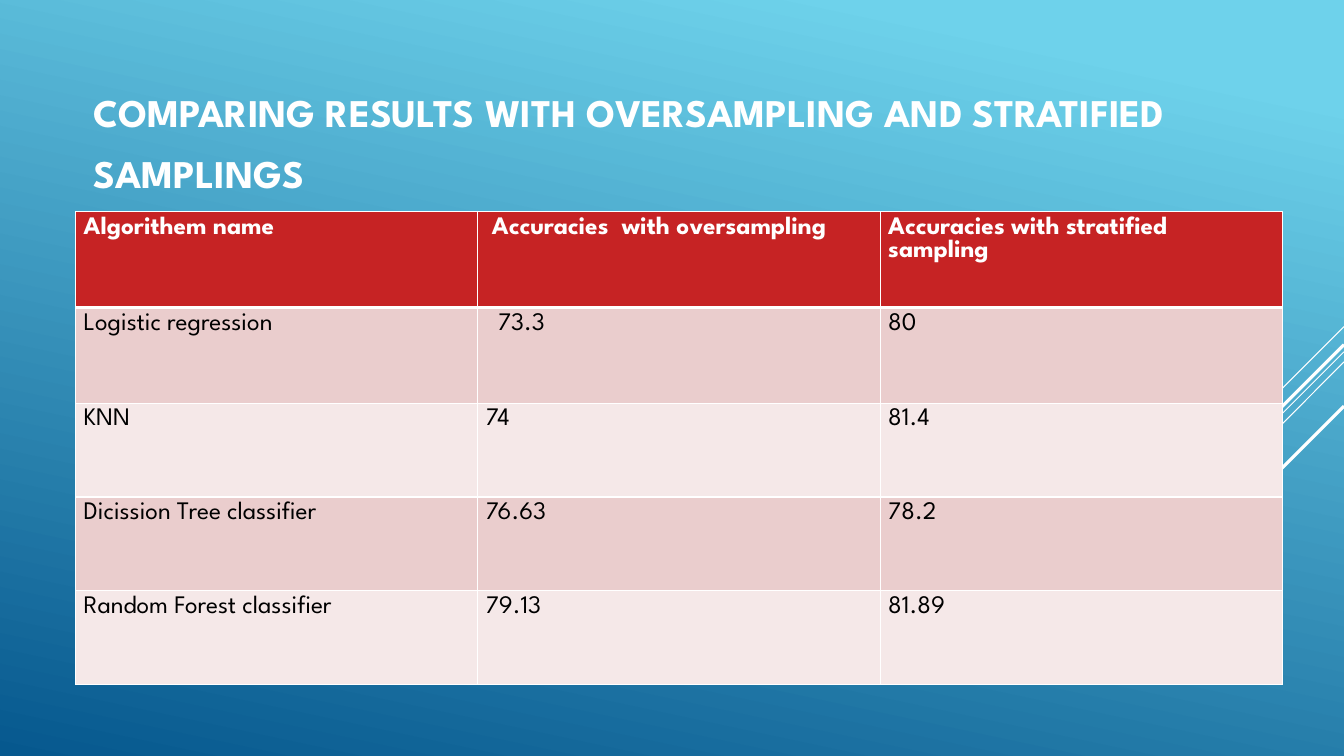
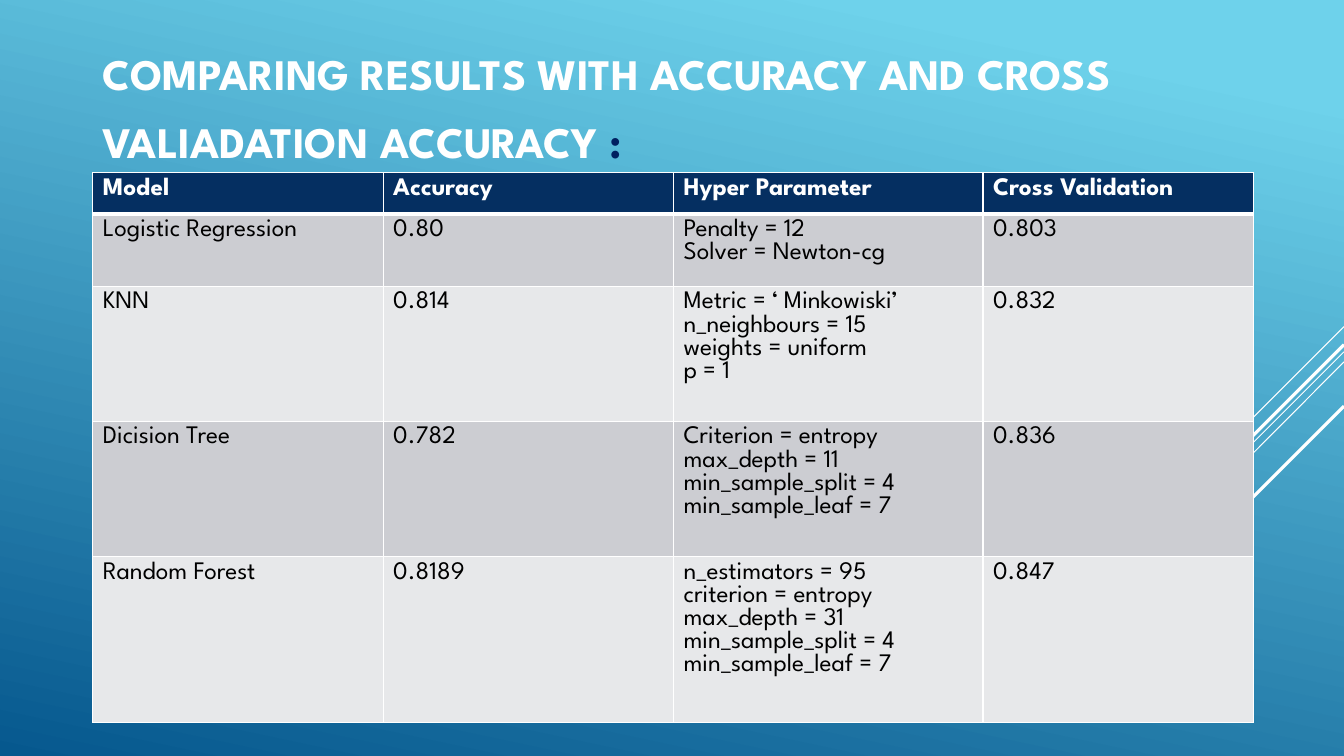
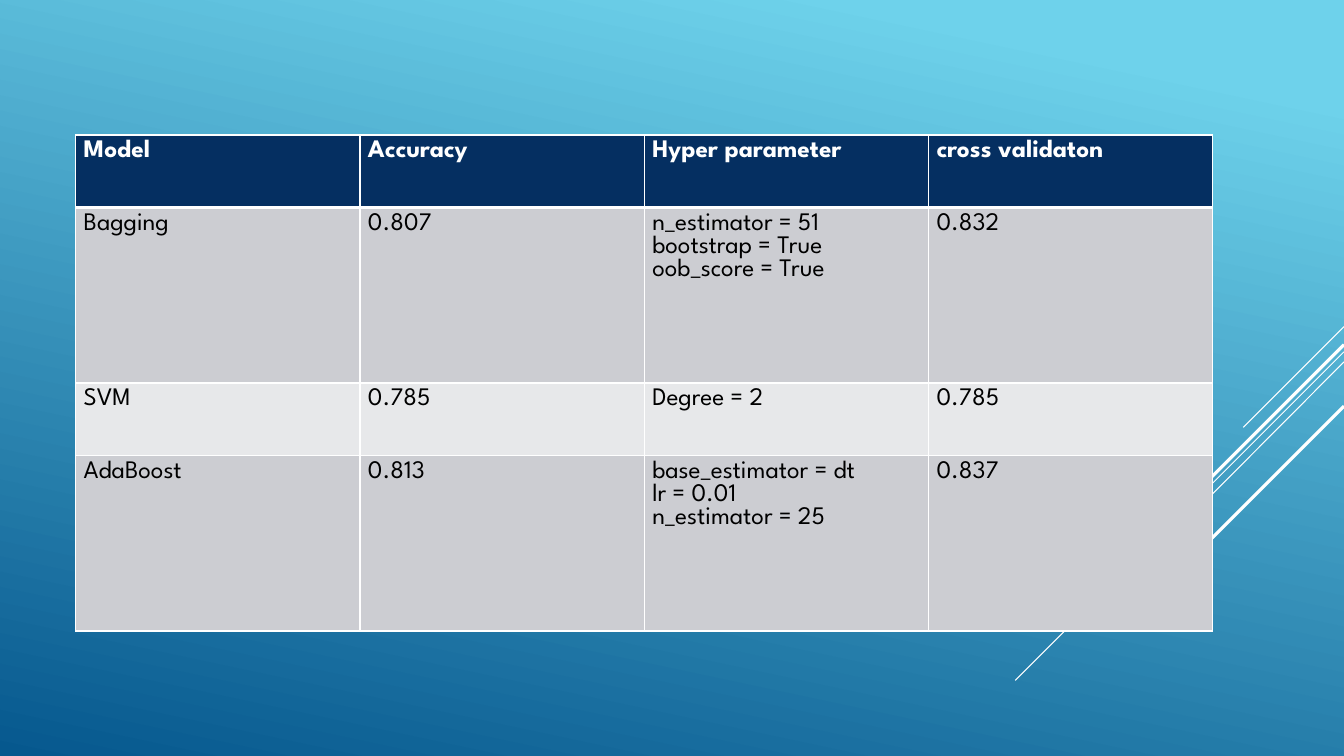
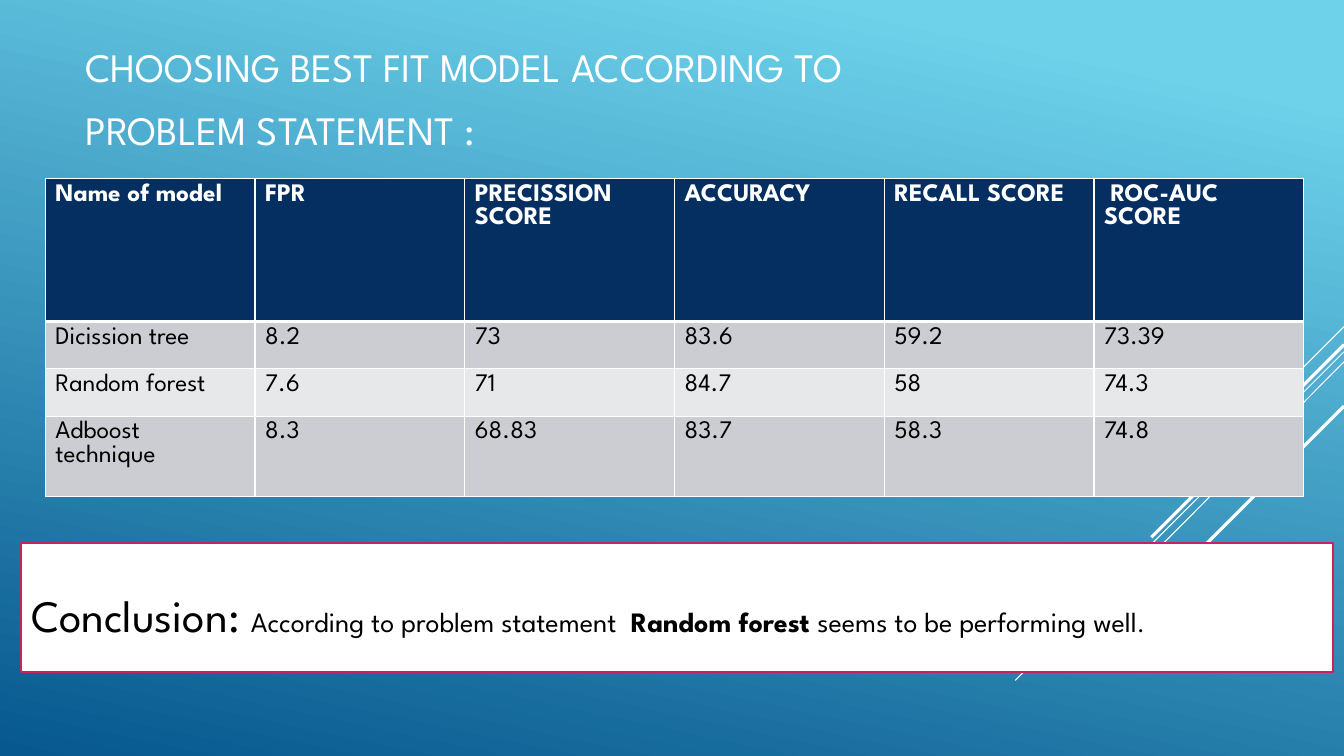
from lxml import etree
from pptx import Presentation
from pptx.dml.color import RGBColor
from pptx.enum.shapes import MSO_CONNECTOR, MSO_SHAPE
from pptx.enum.text import MSO_ANCHOR, PP_ALIGN
from pptx.oxml.ns import qn
from pptx.util import Inches, Pt

LINE = MSO_CONNECTOR.STRAIGHT
RECT = MSO_SHAPE.RECTANGLE
MID = MSO_ANCHOR.MIDDLE
LEFT = PP_ALIGN.LEFT

FONT = "League Spartan"
WHITE, BLACK, NAVY = "FFFFFF", "000000", "002060"
SKY, DEEP, PINK = "6ED2EB", "06588E", "C6235F"
# Table colours: header, odd rows, even rows
RED = ("C62324", "EACDCD", "F5E8E8")
BLUE = ("052F61", "CCCDD2", "E7E8EA")

# Corner rays: start height, end x, end y, width
EDGE = 13.33
RAYS = [
    (3.24, 12.33, 4.24, 0.75),
    (3.49, 10.07, 6.75, 0.75),
    (3.59, 11.26, 5.67, 0.75),
    (3.42, 11.42, 5.33, 2.25),
    (4.03, 11.94, 5.42, 2.25),
]


def color(code):
    return RGBColor.from_string(code)


def add_run(para, text, size, code=WHITE, bold=False):
    run = para.add_run()
    run.text = text
    font = run.font
    font.name, font.size, font.bold = FONT, Pt(size), bold
    font.color.rgb = color(code)


# Shared background and rays
def set_back(master):
    fill = master.background.fill
    fill.gradient()
    fill.gradient_angle = 360 - 102
    for stop, place, code in zip(fill.gradient_stops, (0.1, 1), (SKY, DEEP)):
        stop.position = place
        stop.color.rgb = color(code)


def add_page(prs):
    slide = prs.slides.add_slide(prs.slide_layouts[6])
    for top, x, y, width in RAYS:
        ray = slide.shapes.add_connector(
            LINE, Inches(EDGE), Inches(top), Inches(x), Inches(y))
        ray.line.color.rgb = color(WHITE)
        ray.line.width = Pt(width)
        etree.SubElement(ray.element.spPr, qn("a:effectLst"))
    return slide


def add_title(slide, box, size, runs, bold=True):
    frame = slide.shapes.add_textbox(*map(Inches, box)).text_frame
    frame.word_wrap = True
    frame.vertical_anchor = MID
    para = frame.paragraphs[0]
    para.line_spacing = 1.3
    for text, code in runs:
        add_run(para, text, size, code, bold)


# Tables
def add_edges(cell, top, base):
    props = cell._tc.get_or_add_tcPr()
    sides = (("lnL", 1), ("lnR", 1), ("lnT", top), ("lnB", base))
    for i, (side, width) in enumerate(sides):
        edge = etree.Element(qn("a:" + side), w=str(Pt(width)))
        fill = etree.SubElement(edge, qn("a:solidFill"))
        etree.SubElement(fill, qn("a:srgbClr"), val=WHITE)
        props.insert(i, edge)


def add_grid(slide, left, top, cols, rows, data, tones, inset=0.1):
    grid = slide.shapes.add_table(
        len(rows), len(cols), Inches(left), Inches(top),
        Inches(sum(cols)), Inches(sum(rows))).table
    grid.horz_banding = False
    for col, width in zip(grid.columns, cols):
        col.width = Inches(width)
    for r, (height, texts) in enumerate(zip(rows, data)):
        grid.rows[r].height = Inches(height)
        head = r == 0
        tone = tones[0] if head else tones[2 - r % 2]
        for c, text in enumerate(texts):
            cell = grid.cell(r, c)
            cell.margin_left = cell.margin_right = Inches(inset)
            cell.fill.solid()
            cell.fill.fore_color.rgb = color(tone)
            add_edges(cell, 3 if r == 1 else 1, 3 if head else 1)
            frame = cell.text_frame
            for i, line in enumerate(text.split("\n")):
                para = frame.add_paragraph() if i else frame.paragraphs[0]
                add_run(para, line, 18, WHITE if head else BLACK, head)
    return grid


# Conclusion box
def add_note(slide, box, runs):
    note = slide.shapes.add_shape(RECT, *map(Inches, box))
    note.shadow.inherit = False
    note.fill.solid()
    note.fill.fore_color.rgb = color(WHITE)
    note.line.color.rgb = color(PINK)
    note.line.width = Pt(1.25)
    frame = note.text_frame
    frame.word_wrap = True
    frame.vertical_anchor = MID
    frame.margin_top = Inches(0.19)
    para = frame.paragraphs[0]
    para.alignment = LEFT
    for text, size, bold in runs:
        add_run(para, text, size, BLACK, bold)


# Slides
def add_sample(prs):
    slide = add_page(prs)
    add_title(slide, (0.83, 0.8, 11.5, 1.08), 28, [
        ("COMPARING RESULTS WITH OVERSAMPLING AND STRATIFIED SAMPLINGS",
         WHITE)])
    grid = add_grid(
        slide, 0.75, 2.1, [3.99] * 3, [0.95] * 2 + [0.93] * 3, [
            ("Algorithem name", "Accuracies  with oversampling",
             "Accuracies with stratified sampling"),
            ("Logistic regression", "73.3", "80"),
            ("KNN", "74", "81.4"),
            ("Dicission Tree classifier", "76.63", "78.2"),
            ("Random Forest classifier", "79.13", "81.89"),
        ], RED, 0.08)
    # Two cells stand further in
    grid.cell(0, 1).margin_left = Inches(0.14)
    grid.cell(1, 1).margin_left = Inches(0.2)


def add_cross(prs):
    slide = add_page(prs)
    add_title(slide, (0.92, 0.26, 11.5, 1.45), 31.1, [
        ("COMPARING RESULTS WITH ACCURACY AND CROSS VALIADATION ACCURACY ",
         WHITE),
        (":", NAVY)])
    add_grid(
        slide, 0.92, 1.71, [2.88, 2.88, 3.07, 2.68],
        [0.41, 0.72, 1.34, 1.34, 1.65], [
            ("Model", "Accuracy", "Hyper Parameter", "Cross Validation"),
            ("Logistic Regression", "0.80",
             "Penalty = 12\nSolver = Newton-cg", "0.803"),
            ("KNN", "0.814",
             "Metric = ‘ Minkowiski’\nn_neighbours = 15\n"
             "weights = uniform\np = 1", "0.832"),
            ("Dicision Tree", "0.782",
             "Criterion = entropy\nmax_depth = 11\n"
             "min_sample_split = 4\nmin_sample_leaf = 7", "0.836"),
            ("Random Forest", "0.8189",
             "n_estimators = 95\ncriterion = entropy\nmax_depth = 31\n"
             "min_sample_split = 4\nmin_sample_leaf = 7", "0.847"),
        ], BLUE)


def add_more(prs):
    slide = add_page(prs)
    add_grid(
        slide, 0.75, 1.34, [2.82] * 4, [0.72, 1.74] * 2, [
            ("Model", "Accuracy", "Hyper parameter", "cross validaton"),
            ("Bagging", "0.807",
             "n_estimator = 51\nbootstrap = True\noob_score = True", "0.832"),
            ("SVM", "0.785", "Degree = 2", "0.785"),
            ("AdaBoost", "0.813",
             "base_estimator = dt\nlr = 0.01\nn_estimator = 25", "0.837"),
        ], BLUE, 0.08)


def add_best(prs):
    slide = add_page(prs)
    add_title(slide, (0.75, 0.35, 9.33, 1.1), 28.8, [
        ("CHOOSING BEST FIT MODEL ACCORDING TO PROBLEM STATEMENT :", WHITE)],
        bold=False)
    add_grid(
        slide, 0.45, 1.77, [2.08] * 6, [1.42, 0.47, 0.47, 0.8], [
            ("Name of model", "FPR", "PRECISSION SCORE", "ACCURACY",
             "RECALL SCORE", " ROC-AUC SCORE"),
            ("Dicission tree", "8.2", "73", "83.6", "59.2", "73.39"),
            ("Random forest", "7.6", "71", "84.7", "58", "74.3"),
            ("Adboost technique", "8.3", "68.83", "83.7", "58.3", "74.8"),
        ], BLUE)
    add_note(slide, (0.21, 5.39, 13.01, 1.28), [
        ("Conclusion: ", 32, False),
        ("According to problem statement  ", 20, False),
        ("Random forest ", 20, True),
        ("seems to be performing well", 20, False),
        (".", 18, False)])


def main():
    prs = Presentation()
    prs.slide_width, prs.slide_height = Inches(EDGE), Inches(7.5)
    set_back(prs.slide_master)
    for build in (add_sample, add_cross, add_more, add_best):
        build(prs)
    prs.save("out.pptx")


if __name__ == "__main__":
    main()
